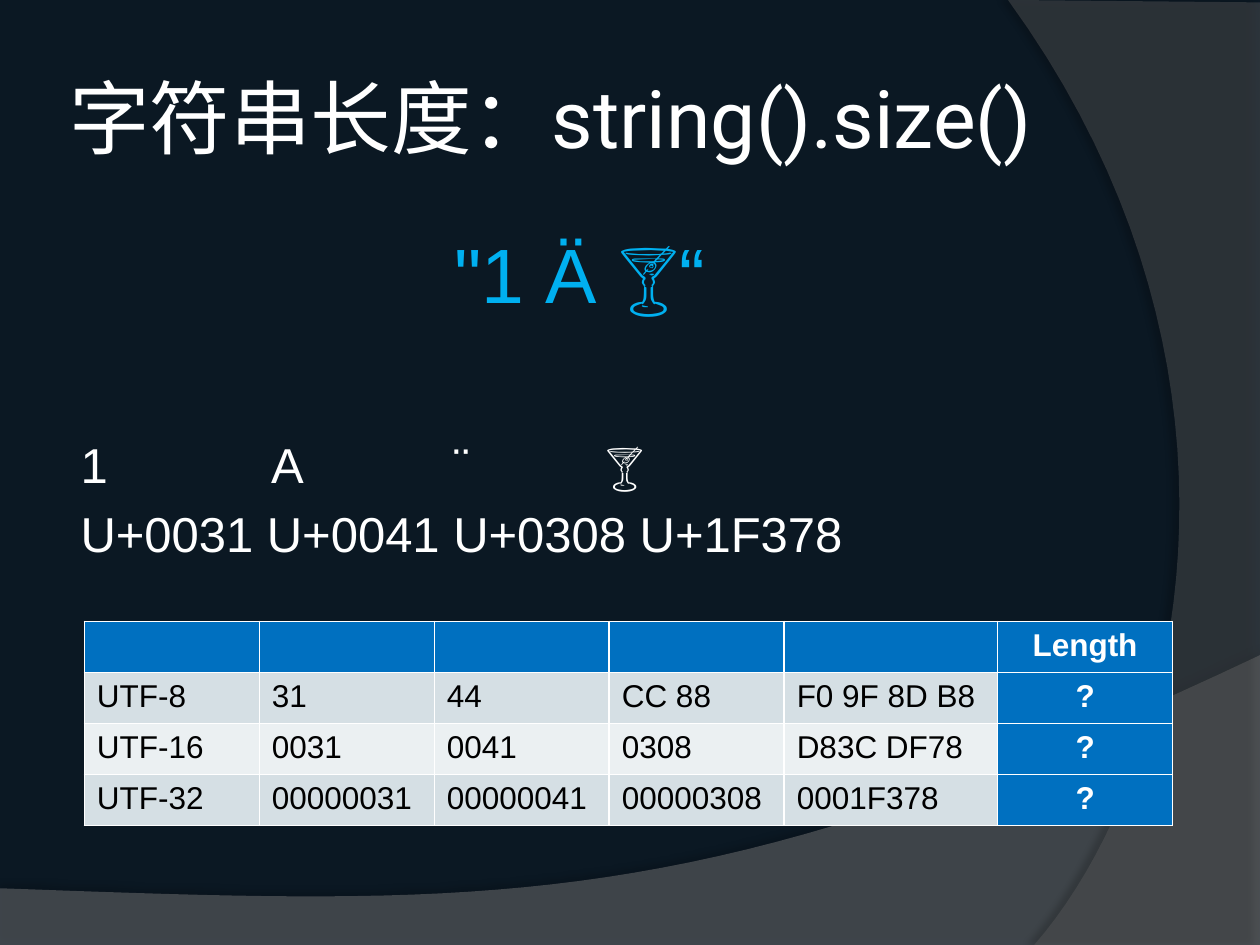
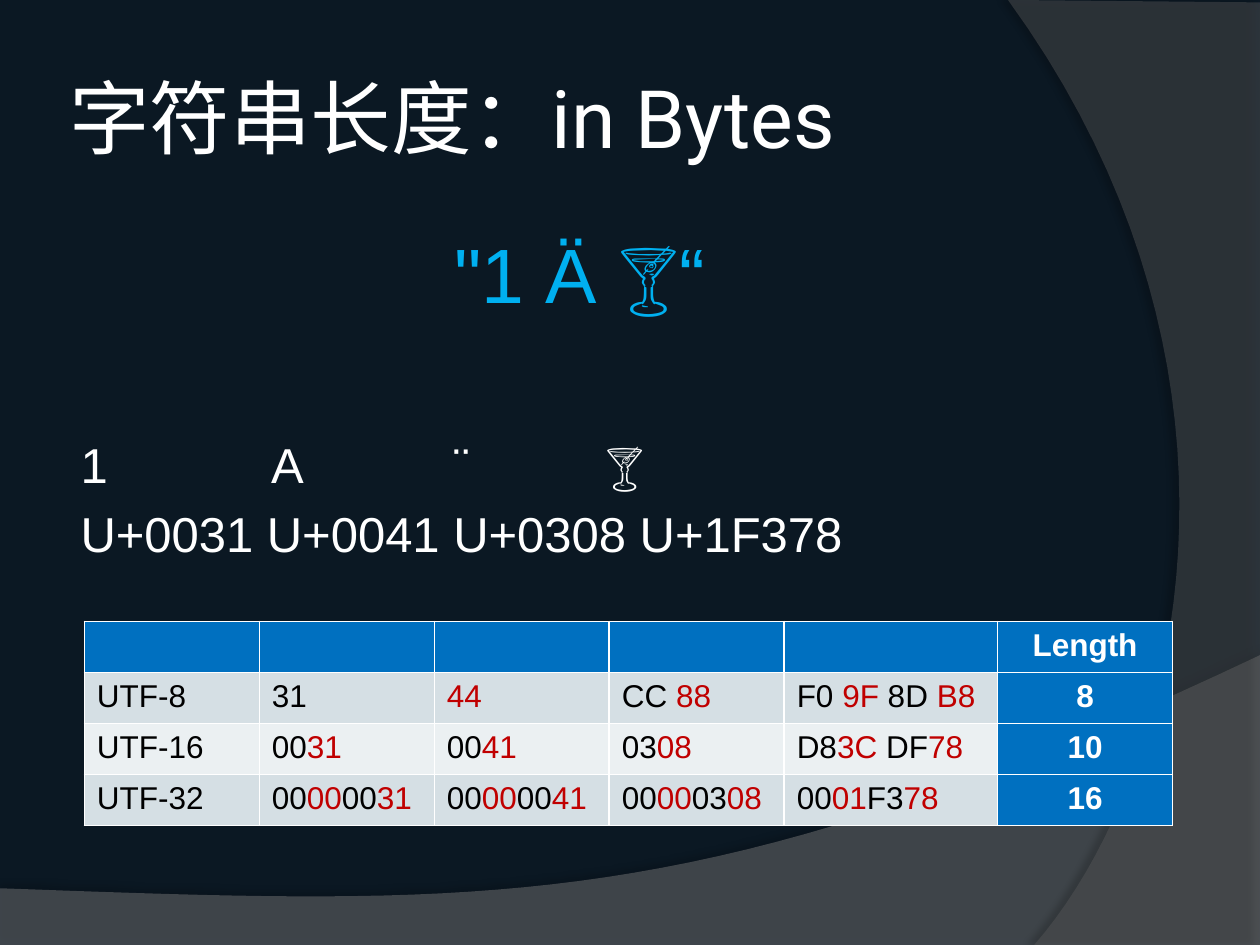
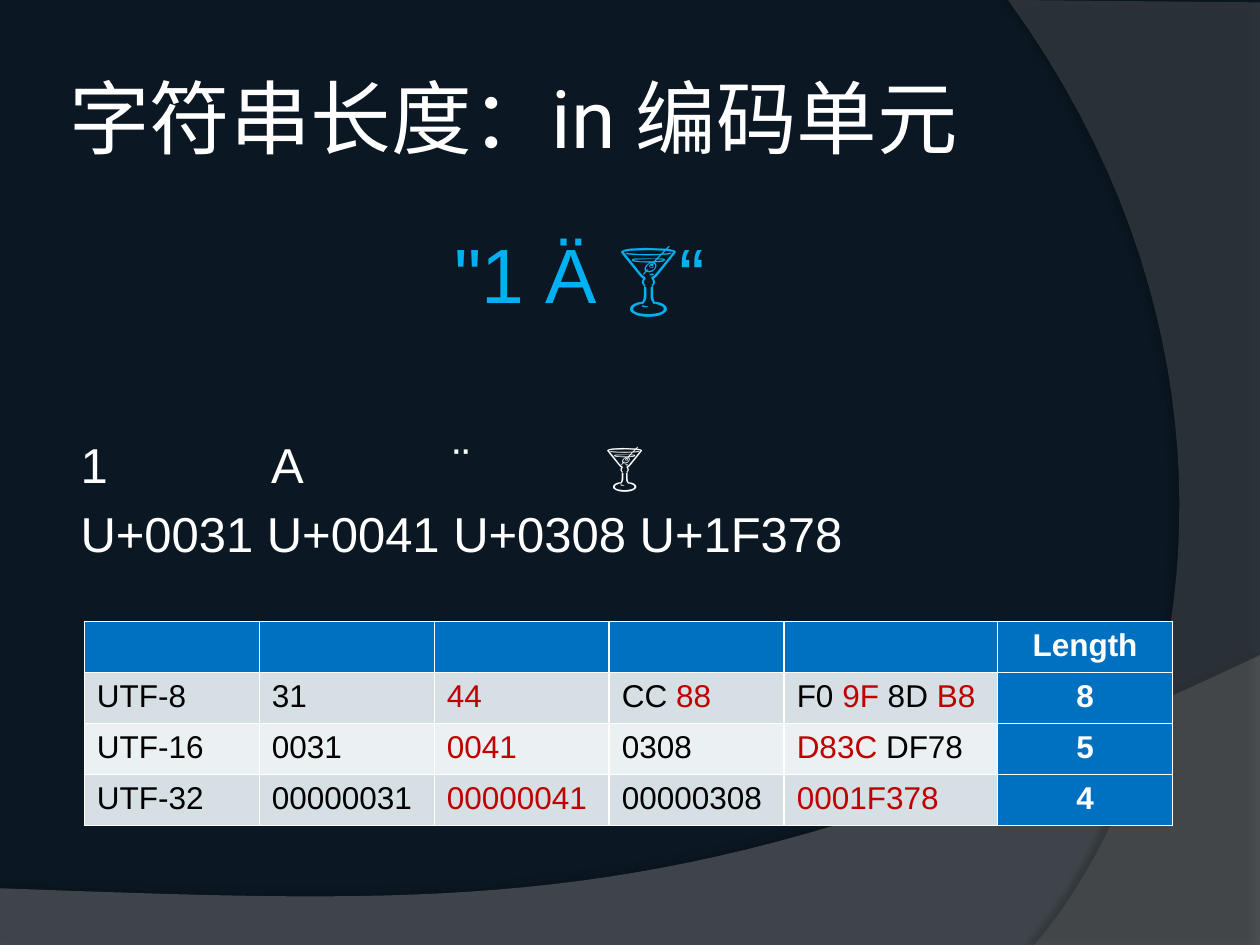
from itertools import groupby

from lxml.etree import SubElement
from pptx import Presentation
from pptx.dml.color import RGBColor
from pptx.enum.text import MSO_ANCHOR as ANCHOR, PP_ALIGN as ALIGN
from pptx.oxml.ns import qn
from pptx.util import Pt

# Colours
NIGHT = RGBColor(0x0B, 0x18, 0x23)
BOTTOM_GREY = RGBColor(0x7F, 0x7F, 0x7F)
SIDE_GREY = RGBColor(0x5E, 0x5E, 0x5E)
WHITE = RGBColor(0xFF, 0xFF, 0xFF)
BLACK = RGBColor(0x00, 0x00, 0x00)
RED = RGBColor(0xC0, 0x00, 0x00)
SKY = RGBColor(0x00, 0xB0, 0xF0)
BLUE = RGBColor(0x00, 0x70, 0xC0)
BANDS = (RGBColor(0xD5, 0xDF, 0xE4), RGBColor(0xEB, 0xF0, 0xF2))

# Text formats
TITLE = {"name": "Roboto", "size": Pt(46)}
SAMPLE = {"name": "Arial", "size": Pt(44)}
CODES = {"name": "Arial", "size": Pt(28)}
CELL = {"name": "Arial", "size": Pt(18), "bold": False}
CELL_BOLD = {**CELL, "bold": True}

# Content
GLASS = "\U0001F378"
CHARACTER_TABS = (109, 213, 300)
COLUMN_WIDTHS = (100, 100, 100, 100, 122, 100)
ROW_HEIGHT = 29.2
ENCODINGS = {
    "UTF-8": ("31", "44", "CC 88", "F0 9F 8D B8"),
    "UTF-16": ("0031", "0041", "0308", "D83C DF78"),
    "UTF-32": ("00000031", "00000041", "00000308", "0001F378"),
}
# Title ending, and the hex digits in one counted unit of each encoding
SLIDES = (
    ("string().size()", None),
    ("in Bytes", (2, 2, 2)),
    ("in 编码单元", (2, 4, 8)),
)


def add_run(p, text, style, color):
    r = p.add_run()
    r.text = text
    for key, value in style.items():
        setattr(r.font, key, value)
    r.font.color.rgb = color


def add_text_box(s, left, top, width, height, **frame):
    tf = s.shapes.add_textbox(Pt(left), Pt(top), Pt(width), Pt(height)).text_frame
    tf.word_wrap = True
    for key, value in frame.items():
        setattr(tf, key, value)
    return tf


# Backdrop
def curve(p0, p1, p2, p3, steps=40):
    """Points of a cubic Bezier curve, without its start."""
    points = []
    for i in range(1, steps + 1):
        t = i / steps
        weights = ((1 - t) ** 3, 3 * t * (1 - t) ** 2, 3 * t * t * (1 - t), t ** 3)
        points.append(tuple(sum(w * p[axis] for w, p in zip(weights, (p0, p1, p2, p3)))
                            for axis in (0, 1)))
    return points


def add_sweep(s, points, color, alpha, shadow_alpha, distance, direction):
    start, *rest = [(Pt(x), Pt(y)) for x, y in points]
    builder = s.shapes.build_freeform(*start)
    builder.add_line_segments(rest, close=True)
    sp = builder.convert_to_shape()
    sp.fill.solid()
    sp.fill.fore_color.rgb = color
    sp.line.fill.background()
    sp.shadow.inherit = False
    props = sp.element.spPr
    fill_color = props.find(qn("a:solidFill")).find(qn("a:srgbClr"))
    SubElement(fill_color, qn("a:alpha"), val=str(alpha * 1000))
    shadow = SubElement(props.find(qn("a:effectLst")), qn("a:outerShdw"),
                        blurRad=str(Pt(4)), dist=str(Pt(distance)),
                        dir=str(direction * 60000), algn="ctr", rotWithShape="0")
    shadow_color = SubElement(shadow, qn("a:srgbClr"), val=str(BLACK))
    SubElement(shadow_color, qn("a:alpha"), val=str(shadow_alpha * 1000))
    return sp


def set_backdrop(layout, s):
    """Draw the sweeps on a slide, then move them to the layout all slides share."""
    layout.background.fill.solid()
    layout.background.fill.fore_color.rgb = NIGHT
    for ph in list(layout.placeholders):
        layout.shapes.element.remove(ph.element)
    bottom = [(0, 507.6), (0, 540), (720, 540), (720, 374.4),
              *curve((720, 374.4), (402.5, 525), (281.5, 517.7), (0, 507.6))]
    side = [(720, 1.4), (720, 540), (591, 540),
            *curve((591, 540), (673.2, 445.7), (733, 216), (576, 0))]
    sweeps = (add_sweep(s, bottom, BOTTOM_GREY, 45, 35, 3.5, 270),
              add_sweep(s, side, SIDE_GREY, 40, 45, 4, 180))
    for sp in sweeps:
        layout.shapes.element.append(sp.element)


# Slide parts
def add_title(s, ending):
    margins = {f"margin_{side}": Pt(3.6) for side in ("left", "top", "right", "bottom")}
    tf = add_text_box(s, 36, 21.6, 588, 90, vertical_anchor=ANCHOR.MIDDLE, **margins)
    add_run(tf.paragraphs[0], "字符串长度：" + ending, TITLE, WHITE)


def add_sample(s):
    tf = add_text_box(s, 36, 126, 588, 356, margin_left=Pt(10))
    p = tf.paragraphs[0]
    p.alignment = ALIGN.CENTER
    add_run(p, f'"1 Ä {GLASS}“', SAMPLE, SKY)

    # The single characters stand on tab stops
    p = tf.add_paragraph()
    p.space_before = Pt(66)
    tabs = SubElement(p._p.get_or_add_pPr(), qn("a:tabLst"))
    for stop in CHARACTER_TABS:
        SubElement(tabs, qn("a:tab"), pos=str(Pt(stop)), algn="l")
    add_run(p, f"1\tA\t¨\t{GLASS}", CODES, WHITE)

    p = tf.add_paragraph()
    p.space_before = Pt(5.6)
    add_run(p, "U+0031 U+0041 U+0308 U+1F378", CODES, WHITE)


def fill_cell(cell, color):
    cell.fill.solid()
    cell.fill.fore_color.rgb = color


def fill_length(cell, text):
    fill_cell(cell, BLUE)
    p = cell.text_frame.paragraphs[0]
    p.alignment = ALIGN.CENTER
    add_run(p, text, CELL_BOLD, WHITE)


def add_codes(p, text, digits_before, unit):
    """Write hex digits with every second unit in red; return the digits so far."""
    colored, count = [], digits_before
    for char in text:
        is_digit = char != " "
        odd = is_digit and unit and count // unit % 2
        colored.append((RED if odd else BLACK, char))
        count += is_digit
    for color, group in groupby(colored, key=lambda pair: pair[0]):
        add_run(p, "".join(char for _, char in group), CELL, color)
    return count


def add_encoding_table(s, units):
    row_count = len(ENCODINGS) + 1
    table = s.shapes.add_table(row_count, len(COLUMN_WIDTHS), Pt(48.2), Pt(355),
                               Pt(sum(COLUMN_WIDTHS)), Pt(ROW_HEIGHT * row_count)).table
    for column, width in zip(table.columns, COLUMN_WIDTHS):
        column.width = Pt(width)
    for row in table.rows:
        row.height = Pt(ROW_HEIGHT)

    last = len(COLUMN_WIDTHS) - 1
    for col in range(last):
        fill_cell(table.cell(0, col), BLUE)
    fill_length(table.cell(0, last), "Length")

    for row, (encoding, codes) in enumerate(ENCODINGS.items(), 1):
        unit = units[row - 1] if units else None
        for col in range(last):
            fill_cell(table.cell(row, col), BANDS[(row - 1) % 2])
        add_run(table.cell(row, 0).text_frame.paragraphs[0], encoding, CELL, BLACK)
        digits = 0
        for col, code in enumerate(codes, 1):
            p = table.cell(row, col).text_frame.paragraphs[0]
            digits = add_codes(p, code, digits, unit)
        fill_length(table.cell(row, last), str(digits // unit) if unit else "?")


def main():
    prs = Presentation()
    prs.slide_width, prs.slide_height = Pt(720), Pt(540)
    blank = prs.slide_layouts[6]
    slides = [prs.slides.add_slide(blank) for _ in SLIDES]
    set_backdrop(blank, slides[0])
    for s, (ending, units) in zip(slides, SLIDES):
        add_title(s, ending)
        add_sample(s)
        add_encoding_table(s, units)
    prs.save("out.pptx")


main()
